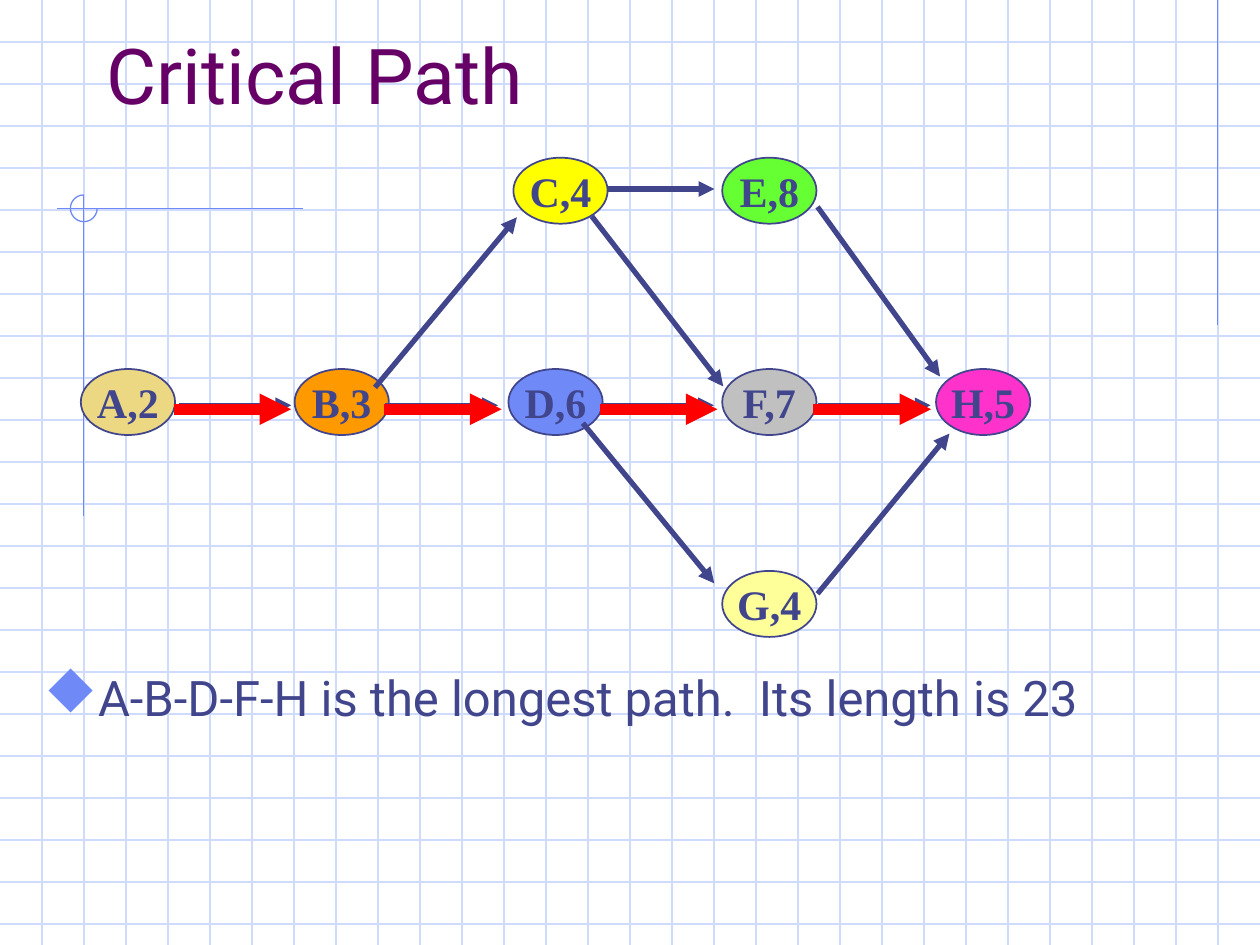
from lxml import etree
from pptx import Presentation
from pptx.dml.color import RGBColor
from pptx.enum.shapes import MSO_CONNECTOR, MSO_SHAPE
from pptx.enum.text import MSO_ANCHOR, MSO_AUTO_SIZE, PP_ALIGN
from pptx.oxml.ns import qn
from pptx.util import Cm, Pt

STRAIGHT = MSO_CONNECTOR.STRAIGHT
ELLIPSE, ARC = MSO_SHAPE.OVAL, MSO_SHAPE.ARC
LEFT, CENTER = PP_ALIGN.LEFT, PP_ALIGN.CENTER
TOP, MIDDLE, BOTTOM = MSO_ANCHOR.TOP, MSO_ANCHOR.MIDDLE, MSO_ANCHOR.BOTTOM

COLORS = {
    "grid": "CFDBFD", "accent": "6F89F7", "title": "660066", "ink": "40458C",
    "critical": "FF0000", "sand": "ECD882", "orange": "FF9900",
    "yellow": "FFFF00", "cream": "FFFF99", "grey": "C0C0C0",
    "green": "66FF33", "pink": "FF33CC",
}
WIDTH, HEIGHT = 25.4, 19.05


def add_line(start, end, color, weight, arrow=False):
    line = slide.shapes.add_connector(STRAIGHT, *(Cm(v) for v in (*start, *end)))
    line.line.color.rgb = RGBColor.from_string(COLORS[color])
    line.line.width = Pt(weight)
    if arrow:
        etree.SubElement(line.line._get_or_add_ln(), qn("a:tailEnd"), type="triangle")
    etree.SubElement(line.element.spPr, qn("a:effectLst"))


def write_text(shape, text, size, font, color, align, anchor, wrap=True, bold=False):
    frame = shape.text_frame
    frame.auto_size = MSO_AUTO_SIZE.NONE
    frame.word_wrap = wrap
    frame.vertical_anchor = anchor
    paragraph = frame.paragraphs[0]
    paragraph.alignment = align
    run = paragraph.add_run()
    run.text = text
    run.font.size = Pt(size)
    run.font.name = font
    run.font.bold = bold
    run.font.color.rgb = RGBColor.from_string(COLORS[color])
    return paragraph


presentation = Presentation()
presentation.slide_width, presentation.slide_height = Cm(WIDTH), Cm(HEIGHT)
slide = presentation.slides.add_slide(presentation.slide_layouts[5])

# Squared-paper background, three squares to the inch
STEP = 2.54 / 3
for row in range(1, 23):
    add_line((0, row * STEP), (WIDTH, row * STEP), "grid", 0.75)
for column in range(1, 30):
    add_line((column * STEP, 0), (column * STEP, HEIGHT), "grid", 0.75)

# Accent lines and the three-quarter circle at their crossing
add_line((24.55, 0), (24.55, 6.55), "accent", 0.75)
add_line((6.1, 4.2), (1.14, 4.2), "accent", 0.75)
add_line((1.69, 3.93), (1.69, 10.4), "accent", 0.75)
circle = slide.shapes.add_shape(ARC, Cm(1.42), Cm(3.93), Cm(0.54), Cm(0.54))
circle.shadow.inherit = False
circle.adjustments[0] = 0
circle.adjustments[1] = 162  # 270 degrees, in units of 100000/60000 degree
circle.fill.background()
circle.line.color.rgb = RGBColor.from_string(COLORS["accent"])
circle.line.width = Pt(0.75)

# Title, brought in front of the grid
title = slide.shapes.title
title.left, title.top, title.width, title.height = Cm(1.9), Cm(0.85), Cm(21.6), Cm(1.7)
write_text(title, "Critical Path", 44, "Roboto", "title", LEFT, BOTTOM)
title.element.getparent().append(title.element)

# Conclusion with a diamond bullet, which is the letter u in Wingdings
conclusion = slide.shapes.add_textbox(Cm(0.64), Cm(13.34), Cm(23.5), Cm(1.9))
paragraph = write_text(conclusion, "A-B-D-F-H is the longest path.  Its length is 23",
                       28, "Roboto", "ink", LEFT, TOP)
paragraph.space_before = Pt(7)
properties = paragraph._p.get_or_add_pPr()
properties.set("marL", str(Cm(0.95)))
properties.set("indent", str(-Cm(0.95)))
bullet_color = etree.SubElement(properties, qn("a:buClr"))
etree.SubElement(bullet_color, qn("a:srgbClr"), val=COLORS["accent"])
etree.SubElement(properties, qn("a:buSzPct"), val="110000")
etree.SubElement(properties, qn("a:buFont"), typeface="Wingdings",
                 pitchFamily="2", charset="2")
etree.SubElement(properties, qn("a:buChar"), char="u")

# Activities: label, left, top, fill
columns = [1.63 + 4.31 * i for i in range(5)]
UPPER, MAIN, LOWER = 3.18, 7.44, 11.51
activities = [
    ("A,2", columns[0], MAIN, "sand"),
    ("B,3", columns[1], MAIN, "orange"),
    ("D,6", columns[2], MAIN, "accent"),
    ("C,4", 10.35, UPPER, "yellow"),
    ("G,4", columns[3], LOWER, "cream"),
    ("F,7", columns[3], MAIN, "grey"),
    ("E,8", columns[3], UPPER, "green"),
    ("H,5", columns[4], MAIN, "pink"),
]
for label, left, top, fill in activities:
    node = slide.shapes.add_shape(ELLIPSE, Cm(left), Cm(top), Cm(1.9), Cm(1.33))
    node.shadow.inherit = False
    node.fill.solid()
    node.fill.fore_color.rgb = RGBColor.from_string(COLORS[fill])
    node.line.color.rgb = RGBColor.from_string(COLORS["ink"])
    node.line.width = Pt(1)
    write_text(node, label, 24, "Times New Roman", "ink", CENTER, MIDDLE,
               wrap=False, bold=True)

# Dependencies along the main row
ARROW = 2.27
for left in (12.12, 7.77, 3.6, 16.49):
    add_line((left, 8.17), (left + ARROW, 8.17), "ink", 3, arrow=True)

# Dependencies to and from the upper and lower rows
branches = [
    ((7.56, 7.81), (10.42, 4.38)),    # B to C
    ((12.25, 3.81), (14.4, 3.81)),    # C to E
    ((11.93, 4.36), (14.58, 7.79)),   # C to F
    ((11.75, 8.53), (14.4, 11.76)),   # D to G
    ((16.48, 4.17), (18.95, 7.59)),   # E to H
    ((16.48, 11.97), (19.14, 8.74)),  # G to H
]
for start, end in branches:
    add_line(start, end, "ink", 3, arrow=True)

# Critical path
for left in (3.5, 16.4, 12.09, 7.74):
    add_line((left, 8.25), (left + ARROW + 0.1, 8.25), "critical", 6, arrow=True)

presentation.save("out.pptx")
